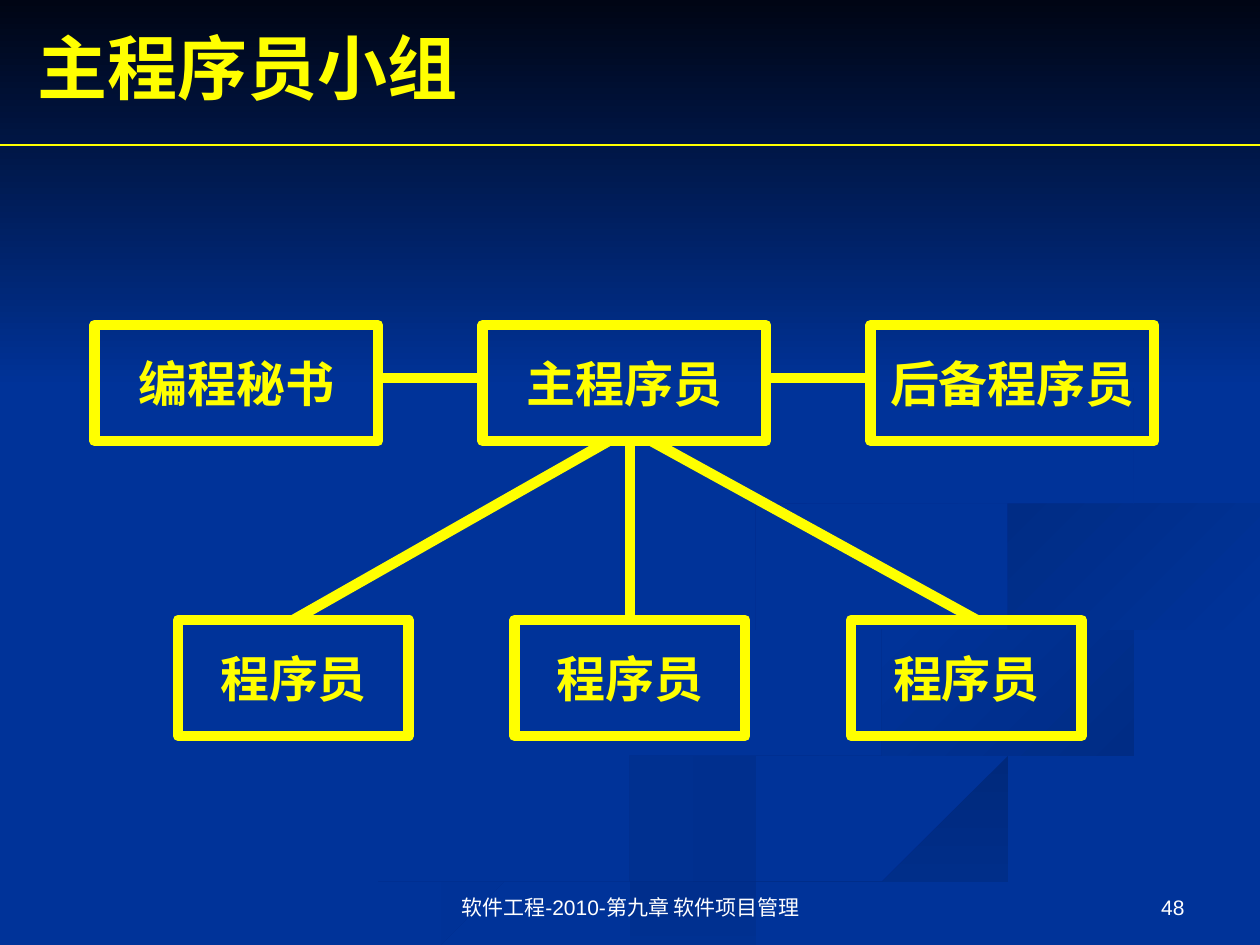
from collections import namedtuple
from dataclasses import dataclass
from math import hypot

from lxml.etree import SubElement
from pptx import Presentation
from pptx.dml.color import RGBColor
from pptx.enum.shapes import MSO_CONNECTOR, MSO_SHAPE
from pptx.enum.text import MSO_ANCHOR, PP_ALIGN
from pptx.oxml.ns import qn
from pptx.util import Inches, Pt

Box = namedtuple("Box", "left top width height")


@dataclass(frozen=True)
class Theme:
    blue: str = "003399"
    night: str = "000514"
    shade: str = "002C85"
    yellow: str = "FFFF00"
    white: str = "FFFFFF"
    heading_font: str = "Times New Roman"
    footer_font: str = "Arial"
    title_size: int = 40
    node_size: int = 28
    footer_size: int = 12
    thick: float = 6
    thin: float = 0.75


THEME = Theme()
PAGE = Box(0, 0, 10, 7.5)

# Each ribbon: first colour, last colour, angle, spine of (x, y, thickness)
RIBBONS = [
    (THEME.shade, THEME.blue, 180,
     [(5.73, 4.62, 0.02), (6.3, 5.05, 0.02), (7.4, 5.4, 0.02), (7.93, 5.75, 0.14),
      (7.3, 6.12, 0.2), (5.2, 6.65, 0.23), (3.3, 7.4, 0.35)]),
    (THEME.shade, THEME.blue, 135,
     [(7.24, 4.64, 0.02), (7.55, 5, 0.05), (8.3, 5.25, 0.1), (9.1, 5.5, 0.16),
      (9.3, 5.78, 0.25), (8.98, 6.05, 0.03)]),
    ("00297C", THEME.blue, 270,
     [(5.37, 7.49, 0.3), (6.6, 6.94, 0.25), (8.2, 6.4, 0.19), (9.98, 5.95, 0.27)]),
    (THEME.blue, THEME.shade, 135,
     [(8.2, 4.92, 0.03), (7.93, 4.65, 0.24), (8.4, 4.4, 0.19), (9.98, 4.11, 0.18)]),
    (THEME.blue, THEME.shade, 135,
     [(7.62, 2.33, 0.01), (8.6, 2.85, 0.05), (8.91, 3.4, 0.05), (8.4, 3.88, 0.16),
      (7.2, 4.16, 0.18), (6.1, 4.4, 0.17), (5.85, 4.63, 0.16), (6.2, 4.98, 0.02)]),
]


def color(code):
    return RGBColor.from_string(code)


def inches(box):
    return [Inches(value) for value in box]


def smooth(knots, steps=8):
    """Sample a Catmull-Rom curve through the knots."""
    padded = [knots[0], *knots, knots[-1]]
    curve = []
    for quad in zip(padded, padded[1:], padded[2:], padded[3:]):
        for step in range(steps):
            t = step / steps
            curve.append([b + t * (c - a) / 2 + t**2 * (2 * a - 5 * b + 4 * c - d) / 2
                          + t**3 * (3 * b - a - 3 * c + d) / 2
                          for a, b, c, d in zip(*quad)])
    return curve + [knots[-1]]


def ribbon_outline(spine):
    """Offset the smoothed spine to both sides, kept inside the page."""
    curve = smooth(spine)
    sides = [], []
    for index, (x, y, thickness) in enumerate(curve):
        before = curve[max(index - 1, 0)]
        after = curve[min(index + 1, len(curve) - 1)]
        run, rise = after[0] - before[0], after[1] - before[1]
        scale = thickness / 2 / hypot(run, rise)
        for side, sign in zip(sides, (1, -1)):
            side.append((min(x - sign * rise * scale, PAGE.width),
                         min(y + sign * run * scale, PAGE.height)))
    return sides[0] + sides[1][::-1]


def format_text(shape, size, font, code, align, anchor, bold=False):
    shape.text_frame.vertical_anchor = anchor
    para = shape.text_frame.paragraphs[0]
    para.alignment = align
    span = para.runs[0].font
    span.size, span.name, span.bold = Pt(size), font, bold
    span.color.rgb = color(code)


def fade(shape, first, last, angle):
    """Fill an unlined shape with a two-colour linear gradient."""
    shape.shadow.inherit = False
    shape.line.fill.background()
    shape.fill.gradient()
    shape.fill.gradient_angle = angle
    for position, (stop, code) in enumerate(zip(shape.fill.gradient_stops, (first, last))):
        stop.color.rgb = color(code)
        stop.position = position


def add_line(page, start, end, width):
    line = page.shapes.add_connector(MSO_CONNECTOR.STRAIGHT, *inches(start + end))
    line.line.color.rgb = color(THEME.yellow)
    line.line.width = Pt(width)
    SubElement(line.element.spPr, qn("a:effectLst"))


def add_backdrop(page, band):
    page.background.fill.solid()
    page.background.fill.fore_color.rgb = color(THEME.blue)
    for first, last, angle, spine in RIBBONS:
        outline = ribbon_outline(spine)
        builder = page.shapes.build_freeform(*outline[0], scale=Inches(1))
        builder.add_line_segments(outline[1:], close=True)
        fade(builder.convert_to_shape(), first, last, angle)
    sky = page.shapes.add_shape(MSO_SHAPE.RECTANGLE, *inches(band))
    fade(sky, THEME.night, THEME.blue, 270)


def add_title(page, box, text):
    title = page.shapes.title
    page.shapes.element.append(title.element)  # in front of the backdrop
    title.left, title.top, title.width, title.height = inches(box)
    title.text_frame.text = text
    title.text_frame.word_wrap = True
    format_text(title, THEME.title_size, THEME.heading_font, THEME.yellow,
                PP_ALIGN.LEFT, MSO_ANCHOR.MIDDLE, bold=True)


def add_node(page, box, text):
    node = page.shapes.add_shape(MSO_SHAPE.RECTANGLE, *inches(box))
    node.shadow.inherit = False
    node.fill.background()
    node.line.color.rgb = color(THEME.yellow)
    node.line.width = Pt(THEME.thick)
    node.text_frame.text = text
    node.text_frame.word_wrap = False
    format_text(node, THEME.node_size, THEME.heading_font, THEME.yellow,
                PP_ALIGN.CENTER, MSO_ANCHOR.MIDDLE, bold=True)


def add_team_chart(page, area):
    """Three leading roles in a row, joined to three programmers below."""
    height, lead_width, member_width = 0.92, 2.25, 1.83
    lead_step, member_step = 3.08, 2.67
    link_top = area.top + 0.42
    member_top = area.top + area.height - height
    for index, role in enumerate(["编程秘书", "主程序员", "后备程序员"]):
        left = area.left + index * lead_step
        add_node(page, Box(left, area.top, lead_width, height), role)
        if index:
            add_line(page, (left - lead_step + lead_width, link_top),
                     (left, link_top), THEME.thick)
    middle = area.left + 4.25
    for offset in (-1, 0, 1):
        center = middle + offset * member_step
        add_node(page, Box(center - member_width / 2, member_top, member_width, height),
                 "程序员")
        add_line(page, (middle + offset * 0.17, area.top + height),
                 (center + offset * 0.08 if offset > 0 else center, member_top), THEME.thick)


def add_footer(page, box, text, align):
    footer = page.shapes.add_textbox(*inches(box))
    footer.text_frame.text = text
    footer.text_frame.word_wrap = True
    format_text(footer, THEME.footer_size, THEME.footer_font, THEME.white,
                align, MSO_ANCHOR.BOTTOM)


def main():
    deck = Presentation()
    deck.slide_width, deck.slide_height = Inches(PAGE.width), Inches(PAGE.height)
    page = deck.slides.add_slide(deck.slide_layouts[5])
    add_backdrop(page, Box(0, 0, PAGE.width, 3.08))
    add_team_chart(page, Box(0.75, 2.58, 8.42, 3.26))
    add_title(page, Box(0.2, 0.14, 9, 0.77), "主程序员小组")
    add_line(page, (0, 1.15), (PAGE.width, 1.15), THEME.thin)
    add_footer(page, Box(3.42, 6.83, 3.17, 0.52), "软件工程-2010-第九章 软件项目管理",
               PP_ALIGN.CENTER)
    add_footer(page, Box(7.17, 6.83, 2.33, 0.52), "48", PP_ALIGN.RIGHT)
    deck.save("out.pptx")


if __name__ == "__main__":
    main()
